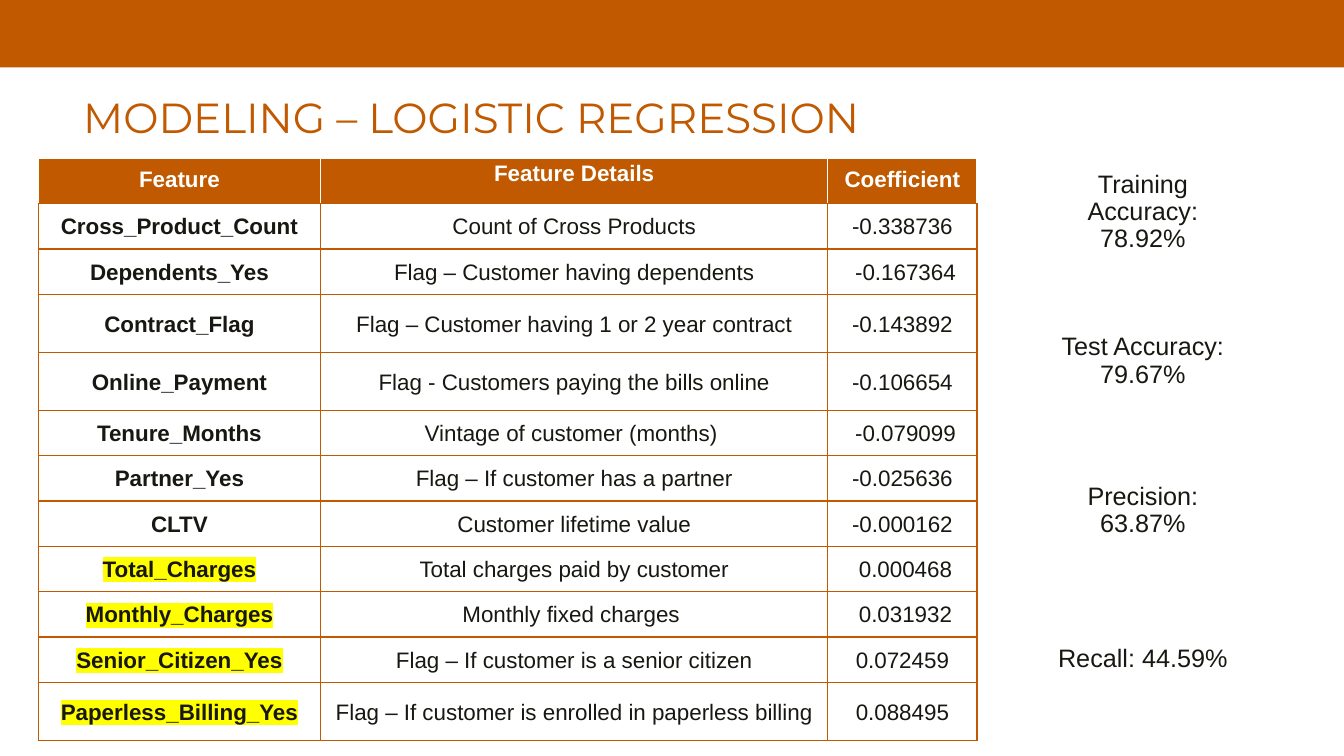
from pptx import Presentation
from pptx.dml.color import RGBColor
from pptx.enum.shapes import MSO_SHAPE
from pptx.enum.text import MSO_ANCHOR as ANCHOR, MSO_AUTO_SIZE as AUTO, PP_ALIGN as ALIGN
from pptx.oxml import parse_xml
from pptx.oxml.ns import nsdecls, qn
from pptx.util import Inches, Pt

ORANGE, INK, WHITE, YELLOW = "C05900", "181711", "FFFFFF", "FFFF00"

HEADER = ("Feature", "Feature Details", "Coefficient")
FEATURES = [
    ("Cross_Product_Count", "Count of Cross Products", "-0.338736"),
    ("Dependents_Yes", "Flag – Customer having dependents", " -0.167364"),
    ("Contract_Flag", "Flag – Customer having 1 or 2 year contract", "-0.143892"),
    ("Online_Payment", "Flag - Customers paying the bills online", "-0.106654"),
    ("Tenure_Months", "Vintage of customer (months) ", " -0.079099"),
    ("Partner_Yes", "Flag – If customer has a partner", "-0.025636"),
    ("CLTV", "Customer lifetime value", "-0.000162"),
    ("Total_Charges", "Total charges paid by customer", " 0.000468"),
    ("Monthly_Charges", "Monthly fixed charges ", " 0.031932"),
    ("Senior_Citizen_Yes", "Flag – If customer is a senior citizen", "0.072459"),
    ("Paperless_Billing_Yes", "Flag – If customer is enrolled in paperless billing", "0.088495"),
]
COL_WIDTHS = (2.8, 5.03, 1.48)
COL_INSETS = (0.07, 0.01, 0.07)
ROW_HEIGHT = 0.45
TALL_ROWS = {3: 0.58, 4: 0.57, 11: 0.58}
METRICS = ("Training Accuracy: 78.92%", "Test Accuracy: 79.67%",
           "Precision: 63.87%", "Recall: 44.59%")


def rgb(value):
    return RGBColor.from_string(value)


class SlideBuilder:
    font = "Arial"

    def __init__(self, prs):
        self.s = prs.slides.add_slide(prs.slide_layouts[5])

    def add_text(self, tf, text, size, color, bold=False, font=None, spacing=0.9, highlight=None):
        p = tf.paragraphs[0]
        p.alignment = ALIGN.CENTER
        p.line_spacing = spacing
        r = p.add_run()
        r.text = text
        r.font.size = Pt(size)
        r.font.name = font or self.font
        r.font.bold = bold
        r.font.color.rgb = rgb(color)
        if highlight:
            mark = parse_xml(f'<a:highlight {nsdecls("a")}><a:srgbClr val="{highlight}"/></a:highlight>')
            r._r.get_or_add_rPr().find(qn("a:solidFill")).addnext(mark)
        return p

    def inset(self, target, margin):
        target.margin_left = target.margin_right = Inches(margin)
        target.margin_top = target.margin_bottom = Inches(margin)

    def box(self, x, y, w, h, fill):
        sp = self.s.shapes.add_shape(MSO_SHAPE.RECTANGLE, Inches(x), Inches(y), Inches(w), Inches(h))
        sp.shadow.inherit = False
        sp.fill.solid()
        sp.fill.fore_color.rgb = rgb(fill)
        sp.line.fill.background()
        return sp

    def title(self, text, x, y, w, h):
        sp = self.s.shapes.title
        sp.left, sp.top, sp.width, sp.height = Inches(x), Inches(y), Inches(w), Inches(h)
        tf = sp.text_frame
        tf.word_wrap = True
        tf.auto_size = AUTO.NONE
        tf.vertical_anchor = ANCHOR.MIDDLE
        self.add_text(tf, text, 30, ORANGE, font="Montserrat")

    def metric(self, text, x, y, w, h):
        tf = self.box(x, y, w, h, WHITE).text_frame
        tf.word_wrap = True
        tf.vertical_anchor = ANCHOR.MIDDLE
        self.inset(tf, 0.07)
        self.add_text(tf, text, 18, INK).space_after = Pt(6.3)

    def borders(self, cell, side_color):
        tcPr = cell._tc.get_or_add_tcPr()
        colors = {"L": side_color, "R": side_color, "T": side_color, "B": ORANGE}
        for i, (side, color) in enumerate(colors.items()):
            tcPr.insert(i, parse_xml(
                f'<a:ln{side} {nsdecls("a")} w="{Pt(1)}"><a:solidFill>'
                f'<a:srgbClr val="{color}"/></a:solidFill></a:ln{side}>'))

    def table(self, rows, x, y):
        heights = [TALL_ROWS.get(i, ROW_HEIGHT) for i in range(len(rows))]
        tbl = self.s.shapes.add_table(len(rows), len(COL_WIDTHS), Inches(x), Inches(y),
                                      Inches(sum(COL_WIDTHS)), Inches(sum(heights))).table
        tbl.horz_banding = False
        for col, width in zip(tbl.columns, COL_WIDTHS):
            col.width = Inches(width)
        for i, (values, height) in enumerate(zip(rows, heights)):
            tbl.rows[i].height = Inches(height)
            for j, text in enumerate(values):
                self.cell(tbl.cell(i, j), text, i == 0, j)

    def cell(self, cell, text, header, col):
        self.inset(cell, COL_INSETS[col])
        if header:
            cell.fill.solid()
            cell.fill.fore_color.rgb = rgb(ORANGE)
        else:
            cell.fill.background()
        cell.vertical_anchor = ANCHOR.TOP if header else ANCHOR.MIDDLE
        self.borders(cell, WHITE if header else ORANGE)
        marked = col == 0 and text.endswith(("_Charges", "Citizen_Yes", "Billing_Yes"))
        self.add_text(cell.text_frame, text, 16, WHITE if header else INK,
                      bold=header or col == 0, spacing=1.07,
                      highlight=YELLOW if marked else None)


def main():
    prs = Presentation()
    prs.slide_width, prs.slide_height = Inches(13.33), Inches(7.5)
    slide = SlideBuilder(prs)
    slide.box(0, 0, 13.33, 0.67, ORANGE)
    slide.title("MODELING – LOGISTIC REGRESSION ", -0.1, 0.47, 9.66, 1.44)
    slide.table([HEADER, *FEATURES], 0.38, 1.57)
    for i, text in enumerate(METRICS):
        slide.metric(text, 10.28, 1.47 + 1.48 * i, 2.11, 1.27)
    prs.save("out.pptx")


if __name__ == "__main__":
    main()
